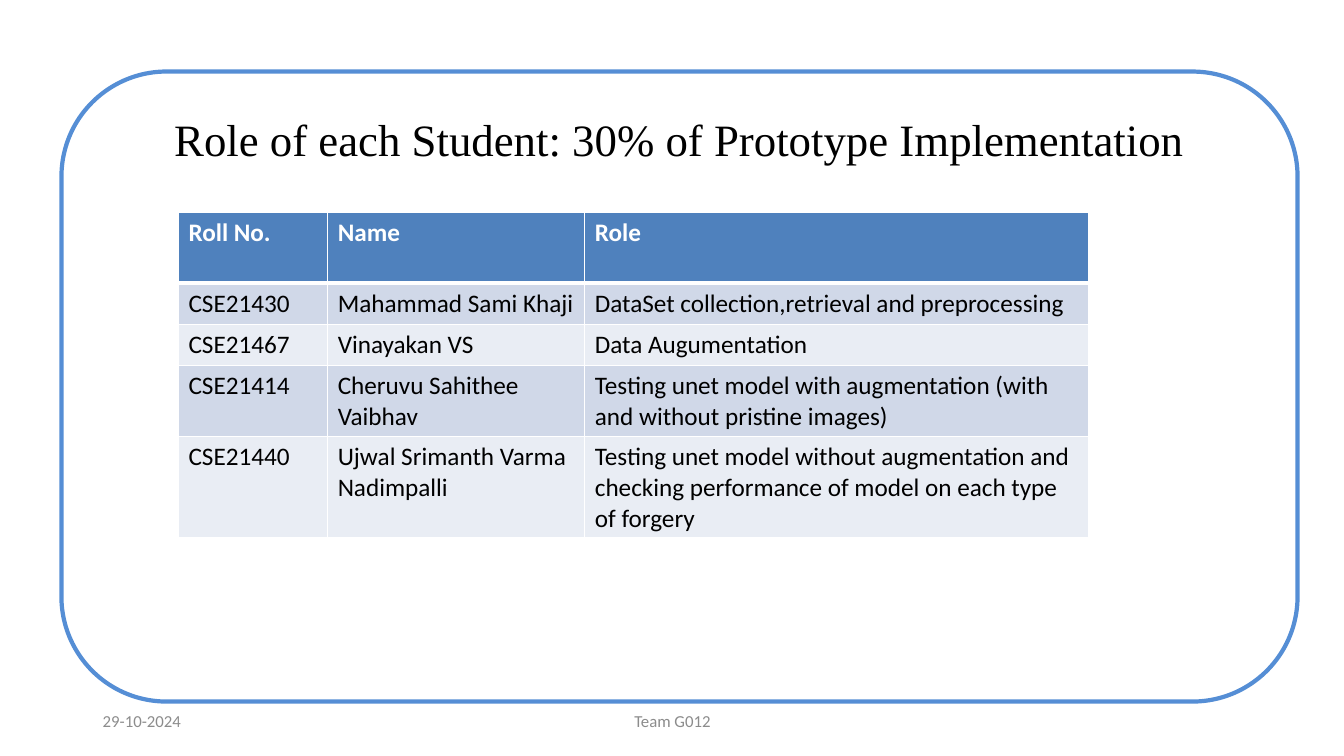
from lxml import etree
from pptx import Presentation
from pptx import util as u
from pptx.dml.color import RGBColor
from pptx.enum import shapes, text
from pptx.oxml import ns

WHITE = RGBColor(0xFF, 0xFF, 0xFF)
BLACK = RGBColor(0, 0, 0)
GRAY = RGBColor(0x8C, 0x8C, 0x8C)
FRAME = RGBColor(0x55, 0x8E, 0xD5)
HEAD = RGBColor(0x4F, 0x81, 0xBD)
BANDS = RGBColor(0xD0, 0xD8, 0xE8), RGBColor(0xE9, 0xED, 0xF4)

COLS = 1.48, 2.55, 5
ROWS = 0.7, 0.41, 0.41, 0.7, 1
ROLES = [
    ("Roll No.", "Name", "Role"),
    ("CSE21430", "Mahammad Sami Khaji",
     "DataSet collection,retrieval and preprocessing"),
    ("CSE21467", "Vinayakan VS", "Data Augumentation"),
    ("CSE21414", "Cheruvu Sahithee Vaibhav",
     "Testing unet model with augmentation (with and without pristine images)"),
    ("CSE21440", "Ujwal Srimanth Varma Nadimpalli",
     "Testing unet model without augmentation and checking performance of "
     "model on each type of forgery"),
]


def inches(box):
    return [u.Inches(n) for n in box]


def write(para, words, size, color, font="Calibri", bold=False):
    run = para.add_run()
    run.text = words
    run.font.size = u.Pt(size)
    run.font.name = font
    run.font.bold = bold
    run.font.color.rgb = color


def add_text(slide, box, words, size, color, font="Calibri",
             align=text.PP_ALIGN.CENTER, anchor=text.MSO_ANCHOR.MIDDLE):
    frame = slide.shapes.add_textbox(*inches(box)).text_frame
    frame.word_wrap = True
    frame.vertical_anchor = anchor
    para = frame.paragraphs[0]
    para.alignment = align
    write(para, words, size, color, font)


def add_frame(slide, box):
    frame = slide.shapes.add_shape(
        shapes.MSO_SHAPE.ROUNDED_RECTANGLE, *inches(box))
    frame.shadow.inherit = False
    frame.fill.background()
    frame.line.color.rgb = FRAME
    frame.line.width = u.Pt(3)


def add_edges(cell, base):
    """Draw white cell borders, with the bottom one base points wide."""
    props = cell._tc.get_or_add_tcPr()
    for spot, side in enumerate("LRTB"):
        wide = u.Pt(base if side == "B" else 1)
        line = etree.Element(ns.qn("a:ln" + side), w=str(wide))
        fill = etree.SubElement(line, ns.qn("a:solidFill"))
        etree.SubElement(fill, ns.qn("a:srgbClr"), val=str(WHITE))
        props.insert(spot, line)


def add_roles(slide, left, top):
    box = inches((left, top, sum(COLS), sum(ROWS)))
    table = slide.shapes.add_table(len(ROWS), len(COLS), *box).table
    for col, wide in zip(table.columns, COLS):
        col.width = u.Inches(wide)
    for i, (row, high) in enumerate(zip(table.rows, ROWS)):
        row.height = u.Inches(high)
        head = i == 0
        for cell, words in zip(row.cells, ROLES[i]):
            cell.fill.solid()
            cell.fill.fore_color.rgb = HEAD if head else BANDS[(i - 1) % 2]
            write(cell.text_frame.paragraphs[0], words, 18,
                  WHITE if head else BLACK, bold=head)
            add_edges(cell, 3 if i < 1 else 1)
            if i == 1:
                edge = cell._tc.tcPr.find(ns.qn("a:lnT"))
                edge.set("w", str(u.Pt(3)))


def add_footer(slide, top, high):
    add_text(slide, (0.92, top, 3, high), "29-10-2024", 12, GRAY,
             align=text.PP_ALIGN.LEFT)
    add_text(slide, (4.42, top, 4.5, high), "Team G012", 12, GRAY)


def main():
    deck = Presentation()
    deck.slide_width, deck.slide_height = inches((13.33, 7.5))
    slide = deck.slides.add_slide(deck.slide_layouts[6])
    add_footer(slide, 6.95, 0.4)
    add_frame(slide, (0.61, 0.71, 12.26, 6.25))
    add_text(slide, (1.51, 1.06, 10.46, 0.64),
             "Role of each Student: 30% of Prototype Implementation",
             32, BLACK, "Times New Roman", anchor=text.MSO_ANCHOR.TOP)
    add_roles(slide, 1.77, 2.11)
    deck.save("out.pptx")


if __name__ == "__main__":
    main()
